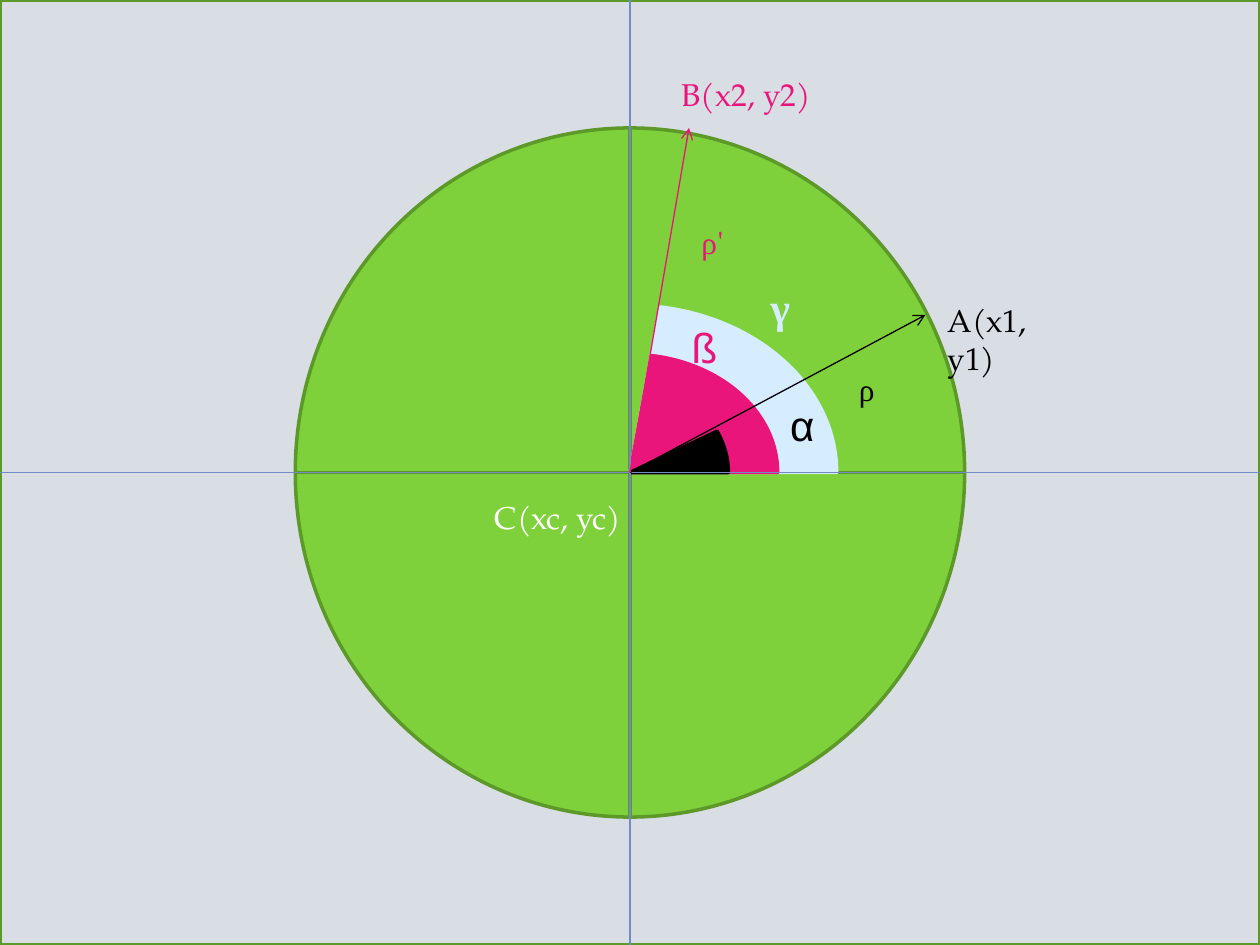
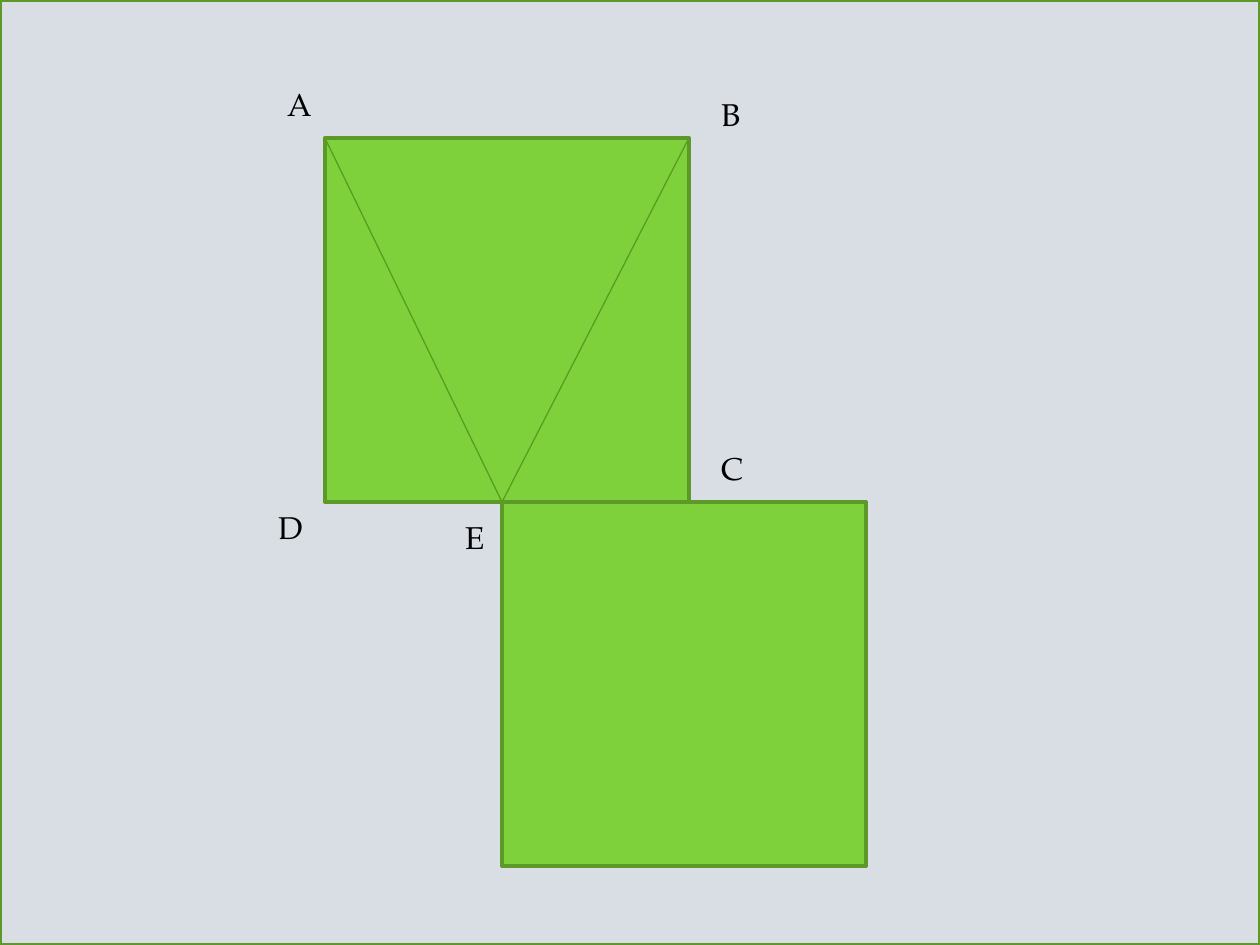
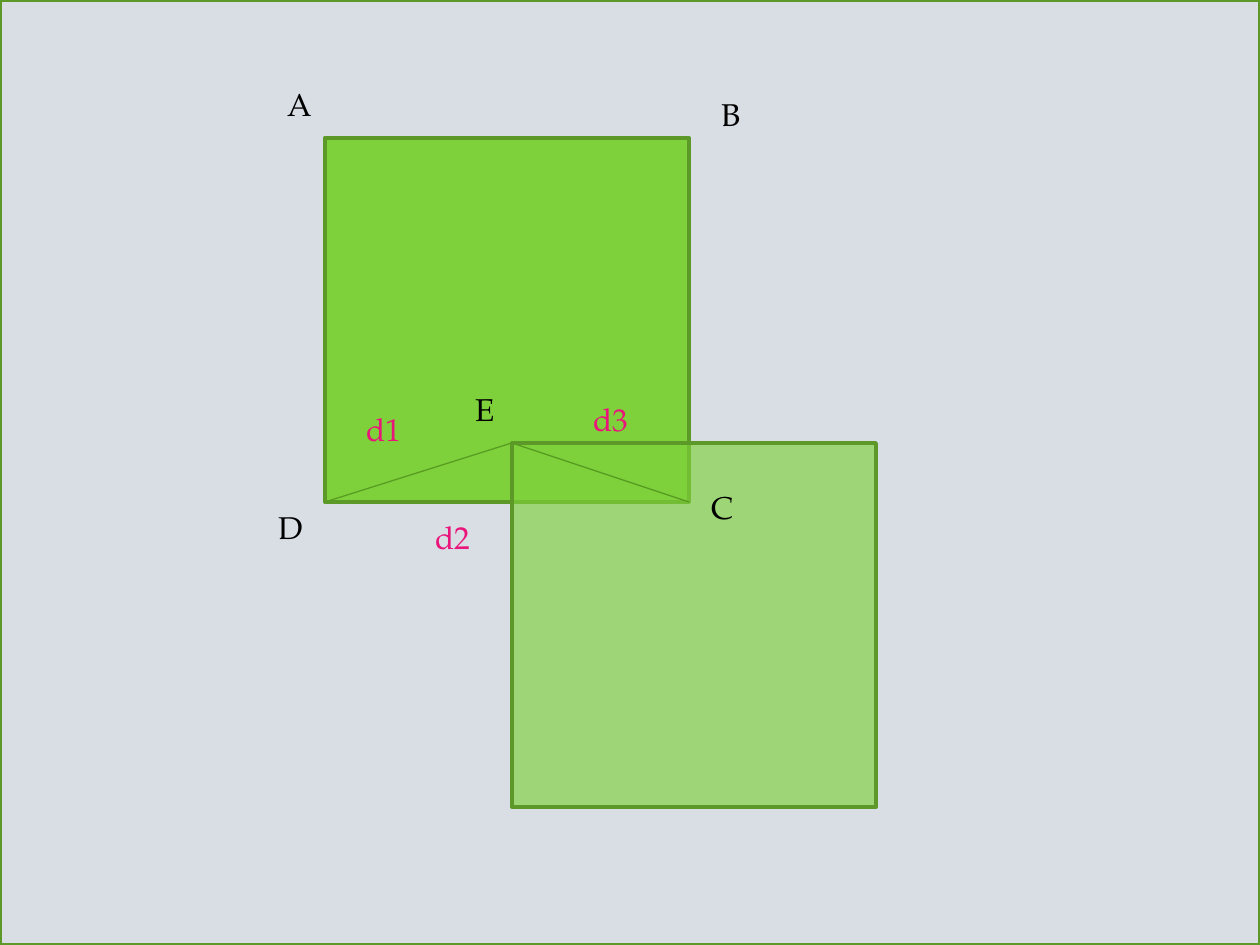
"""Draw a circle with two radii and two cases of overlapping squares."""
from dataclasses import dataclass
from math import cos, radians, sin
from lxml.etree import SubElement as Sub
from pptx import Presentation
from pptx.dml.color import RGBColor as Rgb
from pptx.enum.shapes import MSO_CONNECTOR as Con, MSO_SHAPE as Kind
from pptx.enum.text import MSO_AUTO_SIZE as Auto
from pptx.oxml.ns import qn
from pptx.util import Pt


@dataclass(frozen=True)
class Theme:
    back: str = "D9DEE5"
    green: str = "7FD13B"
    edge: str = "5C9929"
    thin: str = "599C22"
    axis: str = "738AC8"
    pink: str = "EA157A"
    sky: str = "D6ECFF"
    black: str = "000000"
    white: str = "FFFFFF"
    face: str = "TeX Gyre Pagella"
    sans: str = "Arial"
    greek: str = "Times New Roman"
    size: int = 18
    large: int = 24
    bold: int = 2
    fine: float = 0.75
    step: float = 45 / 8


look = Theme()


def grid(*nums):
    return [Pt(n * look.step) for n in nums]


def put(page, text, x, y, wide, color=look.black, size=look.size,
        face=look.face, bold=False, mark=""):
    tall = 0.5 if size == look.large else 0.4
    box = page.shapes.add_textbox(*grid(x, y, wide), Pt(tall * 72))
    frame = box.text_frame
    frame.word_wrap = True
    frame.auto_size = Auto.SHAPE_TO_FIT_TEXT
    for part, name in ((text, face), (mark, look.face)):
        if part:
            run = frame.paragraphs[0].add_run()
            run.text = part
            run.font.name = name
            run.font.size = Pt(size)
            run.font.bold = bold
            run.font.color.rgb = Rgb.from_string(color)


deck = Presentation()
wide, high = 128, 96
deck.slide_width, deck.slide_height = grid(wide, high)
disc, touch, cross = pages = [
    deck.slides.add_slide(deck.slide_layouts[6]) for _ in range(3)]

side = 37
left, top = 33, 14
right, base = left + side, top + side
mid_x, mid_y = wide / 2, high / 2
forms = [(page, Kind.RECTANGLE, 0, 0, wide, high, look.back, 100) for page in pages]
forms += [(disc, Kind.FLOWCHART_OR, 30, 13, 68, 70, look.green, 100)]
for page, x, y, alpha in ((touch, 51, 51, 100), (cross, 52, 45, 65)):
    forms += [
        (page, Kind.RECTANGLE, left, top, side, side, look.green, 100),
        (page, Kind.RECTANGLE, x, y, side, side, look.green, alpha),
    ]

made = []
for page, kind, x, y, w, h, fill, alpha in forms:
    shape = page.shapes.add_shape(kind, *grid(x, y, w, h))
    made.append((shape, fill, look.edge, alpha))
frame = made[0][0]

for rad_x, rad_y, turn, color in (
    (21, 17, 81.6, look.sky),
    (15, 12, 81.6, look.pink),
    (10, 9, 27.8, look.black),
):
    angles = [radians(turn * n / 40) for n in range(41)]
    arc = [grid(mid_x + rad_x * cos(a), mid_y - rad_y * sin(a)) for a in angles]
    pen = disc.shapes.build_freeform(*grid(mid_x, mid_y), scale=1.0)
    pen.add_line_segments(arc, close=True)
    made.append((pen.convert_to_shape(), color, color, 100))

for shape, fill, edge, alpha in made:
    shape.shadow.inherit = False
    shape.fill.solid()
    shape.fill.fore_color.rgb = Rgb.from_string(fill)
    shape.line.color.rgb = Rgb.from_string(edge)
    shape.line.width = Pt(look.bold)
    if alpha < 100:
        tint = shape._element.spPr.find(qn("a:solidFill"))[0]
        Sub(tint, qn("a:alpha"), val=str(alpha * 1000))

for page, x1, y1, x2, y2, color, ends, arrow in (
    (disc, 0, mid_y, wide, mid_y, look.axis, (1, 3), False),
    (disc, mid_x, 0, mid_x, high, look.axis, (0, 2), False),
    (disc, mid_x, mid_y, 94, 32, look.black, None, True),
    (disc, mid_x, mid_y, 70, 13, look.pink, None, True),
    (touch, left, top, 51, base, look.thin, None, False),
    (touch, 51, base, right, top, look.thin, None, False),
    (cross, left, base, 52, 45, look.thin, None, False),
    (cross, 52, 45, right, base, look.thin, None, False),
):
    line = page.shapes.add_connector(Con.STRAIGHT, *grid(x1, y1, x2, y2))
    line.line.color.rgb = Rgb.from_string(color)
    line.line.width = Pt(look.fine)
    props = line._element.spPr
    if arrow:
        Sub(props.find(qn("a:ln")), qn("a:tailEnd"), type="arrow")
    Sub(props, qn("a:effectLst"))
    if ends:
        line.begin_connect(frame, ends[0])
        line.end_connect(frame, ends[1])

put(disc, "ß", 69, 32, 10, color=look.pink, size=look.large, face=look.sans)
put(disc, "α", 79, 40, 10, size=look.large, face=look.sans)
put(disc, "A(x1, y1)", 95, 30, 16)
put(disc, "B(x2, y2)", 68, 7, 16, color=look.pink)
put(disc, "ρ", 70, 22, 7, color=look.pink, face=look.greek, mark="'")
put(disc, "ρ", 86, 37, 7, face=look.greek)
put(disc, "C(xc, yc)", 49, 50, 16, color=look.white)
put(disc, "γ", 77, 28, 8, color=look.sky, size=look.large, face=look.greek, bold=True)

for page in (touch, cross):
    for text, x, y in (("A", 28, 8), ("B", 72, 9), ("D", 27, 51)):
        put(page, text, x, y, 5)
put(touch, "C", 72, 45, 5)
put(touch, "E", 46, 52, 4)
put(cross, "C", 71, 49, 5)
put(cross, "E", 47, 39, 4)
for text, x, y in (("d1", 36, 41), ("d2", 43, 52), ("d3", 59, 40)):
    put(cross, text, x, y, 9, color=look.pink)

deck.save("out.pptx")
